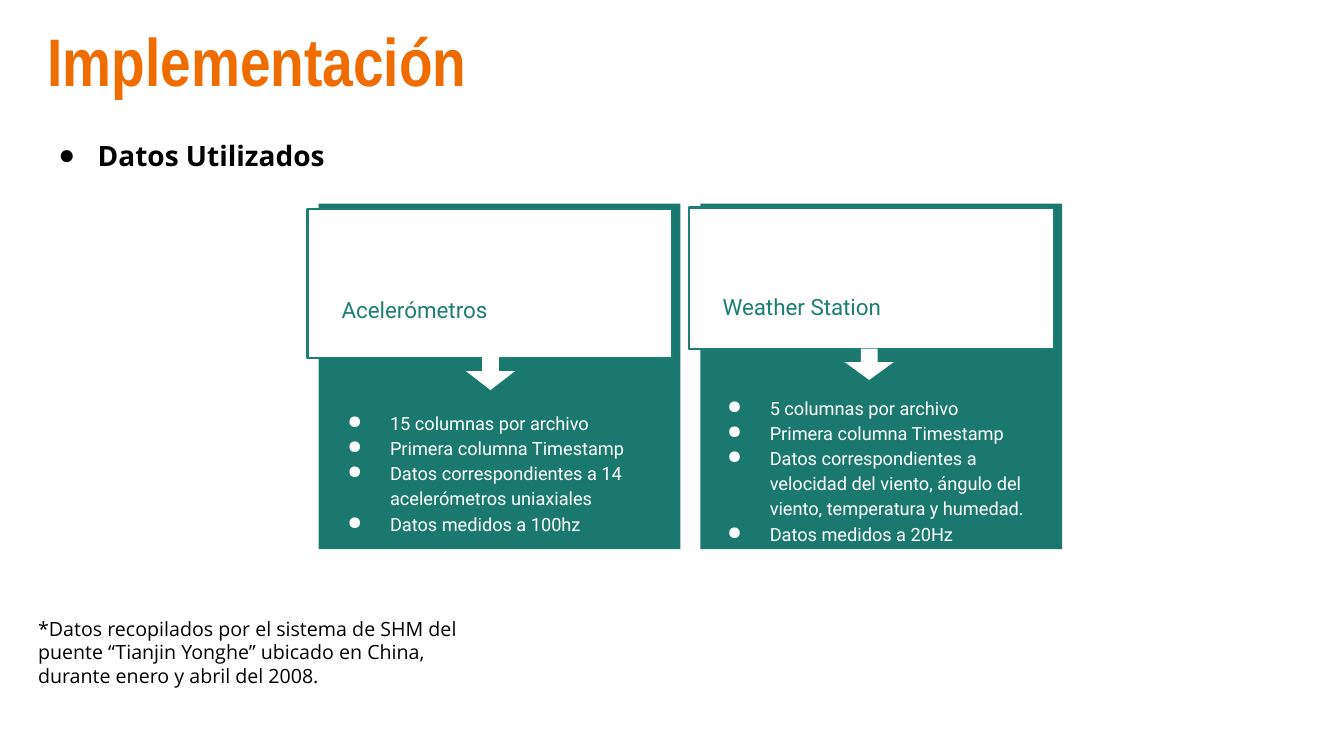
from dataclasses import dataclass

from lxml.etree import SubElement
from pptx import Presentation
from pptx.dml.color import RGBColor as Rgb
from pptx.enum.shapes import MSO_SHAPE as Kind
from pptx.enum.text import MSO_ANCHOR as Anchor, MSO_AUTO_SIZE as Fit, PP_ALIGN as Align
from pptx.oxml.ns import qn
from pptx.util import Cm, Pt

HUES = {"title": "EF6C00", "ink": "000000", "panel": "1B786E",
        "edge": "1D7E74", "white": "FFFFFF"}
Box = tuple[float, float, float, float]


@dataclass
class Card:
    """A data source with its places in centimetres."""
    name: str
    items: list[str]
    panel: Box
    head: Box
    label: Box
    arrow: Box
    list: Box


CARDS = [
    Card("Acelerómetros",
         ["15 columnas por archivo", "Primera columna Timestamp",
          "Datos correspondientes a 14 acelerómetros uniaxiales",
          "Datos medidos a 100hz"],
         panel=(8.03, 5.13, 9.12, 8.71), head=(7.75, 5.26, 9.19, 3.76),
         label=(8.28, 7.14, 8.13, 1.3), arrow=(11.94, 8.79, 0.84, 1.24),
         list=(7.8, 9.98, 9.12, 3.76)),
    Card("Weather Station",
         ["5 columnas por archivo", "Primera columna Timestamp",
          "Datos correspondientes a velocidad del viento, ángulo del viento, "
          "temperatura y humedad.",
          "Datos medidos a 20Hz"],
         panel=(17.65, 5.13, 9.12, 8.71), head=(17.37, 5.23, 9.19, 3.56),
         label=(17.88, 7.06, 8.13, 1.24), arrow=(21.51, 8.56, 0.79, 1.24),
         list=(17.37, 9.6, 9.12, 4.24)),
]


def hue(name: str) -> Rgb:
    """Look up a colour by its role."""
    return Rgb.from_string(HUES[name])


def span(box: Box) -> list[Cm]:
    """Turn a box of centimetres into lengths."""
    return [Cm(side) for side in box]


def dot(para, color: str, left: float, hang: float) -> None:
    """Give a paragraph a round bullet and a hanging indent."""
    props = para._p.get_or_add_pPr()
    props.set("marL", str(Cm(left)))
    props.set("indent", str(-Cm(hang)))
    tint = SubElement(props, qn("a:buClr"))
    SubElement(tint, qn("a:srgbClr"), val=HUES[color])
    SubElement(props, qn("a:buChar"), char="●")


def write(shape, *lines: str, size: float, font: str, color: str = "ink",
          bold: bool = False, pad: tuple[float, float] = (0.25, 0.25),
          anchor: Anchor = Anchor.TOP, space: float = 1.0,
          indent: tuple[float, float] | None = None) -> None:
    """Fill a shape with formatted paragraphs."""
    frame = shape.text_frame
    frame.word_wrap = True
    frame.auto_size = Fit.NONE
    frame.vertical_anchor = anchor
    frame.margin_left = frame.margin_right = Cm(pad[0])
    frame.margin_top = frame.margin_bottom = Cm(pad[1])
    frame.text = "\n".join(lines)
    for para in frame.paragraphs:
        para.alignment = Align.LEFT
        para.line_spacing = space
        para.space_before = Pt(0)
        if indent:
            dot(para, color, *indent)
        face = para.runs[0].font
        face.name, face.size, face.bold = font, Pt(size), bold
        face.color.rgb = hue(color)


def draw(group, kind: Kind, box: Box, fill: str, edge: str | None = None):
    """Add a flat preset shape."""
    shape = group.shapes.add_shape(kind, *span(box))
    shape.shadow.inherit = False
    shape.fill.solid()
    shape.fill.fore_color.rgb = hue(fill)
    if edge:
        shape.line.color.rgb = hue(edge)
        shape.line.width = Pt(1.5)
    else:
        shape.line.fill.background()
    return shape


def show(slide, card: Card) -> None:
    """Draw one card as a group."""
    group = slide.shapes.add_group_shape()
    draw(group, Kind.RECTANGLE, card.panel, "panel")
    draw(group, Kind.RECTANGLE, card.head, "white", "edge")
    label = group.shapes.add_textbox(*span(card.label))
    write(label, card.name, size=16, font="Roboto", color="edge", pad=(0.33, 0.33))
    arrow = draw(group, Kind.RIGHT_ARROW, card.arrow, "white")
    arrow.rotation = 90
    arrow.adjustments[0], arrow.adjustments[1] = 0.34, 0.57
    facts = group.shapes.add_textbox(*span(card.list))
    write(facts, *card.items, size=13, font="Roboto", color="white",
          pad=(0.33, 0.33), space=1.15, indent=(1.7, 1.07))


def place(shape, box: Box) -> None:
    """Move and size a placeholder."""
    shape.left, shape.top, shape.width, shape.height = span(box)


def main() -> None:
    """Build and save the slide."""
    deck = Presentation()
    deck.slide_width, deck.slide_height = Cm(33.87), Cm(19.05)
    slide = deck.slides.add_slide(deck.slide_layouts[1])
    title, body = slide.shapes.title, slide.placeholders[1]
    place(title, (0.94, 0.36, 12.95, 2.54))
    write(title, "Implementación", size=48, font="Arial Narrow", color="title",
          bold=True, pad=(0.25, 0.13), anchor=Anchor.MIDDLE, space=0.9)
    place(body, (0.94, 3.23, 12.95, 1.57))
    write(body, "Datos Utilizados", size=20, font="Open Sans", bold=True,
          indent=(1.27, 0.99))
    for card in CARDS:
        show(slide, card)
    note = slide.shapes.add_textbox(*span((0.71, 15.29, 11.18, 2.74)))
    write(note, "*Datos recopilados por el sistema de SHM del puente “Tianjin Yonghe” "
          "ubicado en China, durante enero y abril del 2008.",
          size=14, font="Open Sans")
    deck.save("out.pptx")


if __name__ == "__main__":
    main()
